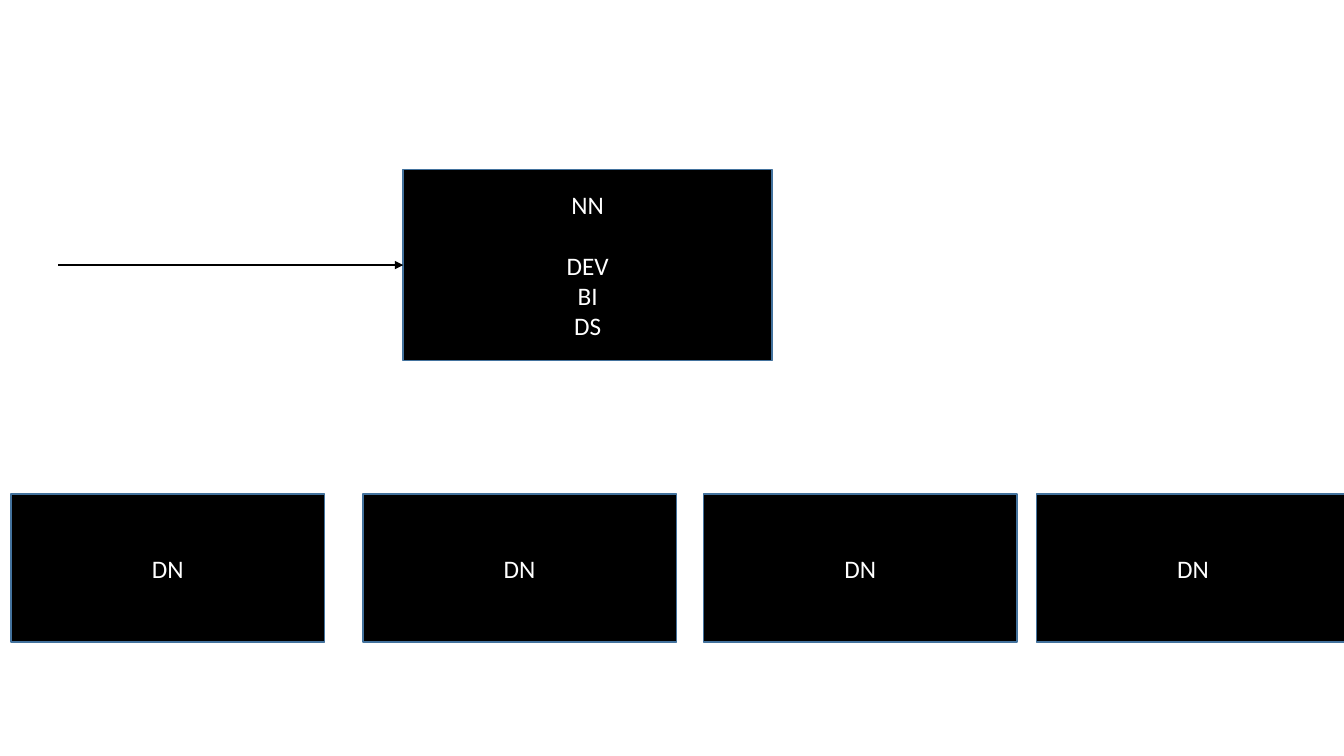
import dataclasses

import lxml.etree
import pptx
import pptx.dml.color
import pptx.enum.shapes
import pptx.enum.text
import pptx.oxml
import pptx.oxml.ns
import pptx.presentation
import pptx.slide
import pptx.util

Pt = pptx.util.Pt
BLACK = pptx.dml.color.RGBColor(0x00, 0x00, 0x00)
WHITE = pptx.dml.color.RGBColor(0xFF, 0xFF, 0xFF)
BORDER_BLUE = pptx.dml.color.RGBColor(0x43, 0x72, 0x9D)

FONT_FORMAT = {"name": "Calibri", "size": Pt(18)}
FRAME_FORMAT = {
    "word_wrap": True,
    "vertical_anchor": pptx.enum.text.MSO_ANCHOR.MIDDLE,
    "margin_left": Pt(7.2),
    "margin_right": Pt(7.2),
    "margin_top": Pt(3.6),
    "margin_bottom": Pt(3.6),
}


@dataclasses.dataclass(frozen=True)
class Node:
    left: float
    top: float
    width: float
    height: float
    lines: tuple[str, ...]
    heading_gap: float = 0


NAME_NODE = Node(288, 120.96, 263.52, 136.8, ("NN", "DEV", "BI", "DS"), 21.97)
DATA_NODES = [
    Node(left, 352.8, 223.92, 105.84, ("DN",))
    for left in (7.92, 259.2, 502.56, 740.16)
]
CLIENT_LEFT = 41.76


def apply_format(target: object, values: dict[str, object]) -> None:
    for name, value in values.items():
        setattr(target, name, value)


def draw_node(page: pptx.slide.Slide, node: Node) -> None:
    box = page.shapes.add_shape(
        pptx.enum.shapes.MSO_SHAPE.RECTANGLE,
        Pt(node.left), Pt(node.top), Pt(node.width), Pt(node.height),
    )
    box.shadow.inherit = False
    box.fill.solid()
    box.fill.fore_color.rgb = BLACK
    box.line.color.rgb = BORDER_BLUE
    box.line.width = Pt(1)
    frame = box.text_frame
    apply_format(frame, FRAME_FORMAT)
    for index, text in enumerate(node.lines):
        para = frame.add_paragraph() if index else frame.paragraphs[0]
        para.alignment = pptx.enum.text.PP_ALIGN.CENTER
        span = para.add_run()
        span.text = text
        apply_format(span.font, FONT_FORMAT)
        span.font.color.rgb = WHITE
    if node.heading_gap:
        frame.paragraphs[0].space_after = Pt(node.heading_gap)


def draw_arrow(page: pptx.slide.Slide, start: float, target: Node) -> None:
    middle = Pt(target.top + target.height / 2)
    arrow = page.shapes.add_connector(
        pptx.enum.shapes.MSO_CONNECTOR.STRAIGHT,
        Pt(start), middle, Pt(target.left), middle,
    )
    arrow.line.color.rgb = BLACK
    arrow.line.width = Pt(1.5)
    tag = pptx.oxml.ns.qn
    outline = arrow.line._get_or_add_ln()
    lxml.etree.SubElement(outline, tag("a:tailEnd"), type="triangle")
    lxml.etree.SubElement(arrow._element.spPr, tag("a:effectLst"))


def build_deck() -> pptx.presentation.Presentation:
    deck = pptx.Presentation()
    deck.slide_width = Pt(960)
    deck.slide_height = Pt(540)
    page = deck.slides.add_slide(deck.slide_layouts.get_by_name("Blank"))
    for node in (NAME_NODE, *DATA_NODES):
        draw_node(page, node)
    draw_arrow(page, CLIENT_LEFT, NAME_NODE)
    return deck


build_deck().save("out.pptx")
